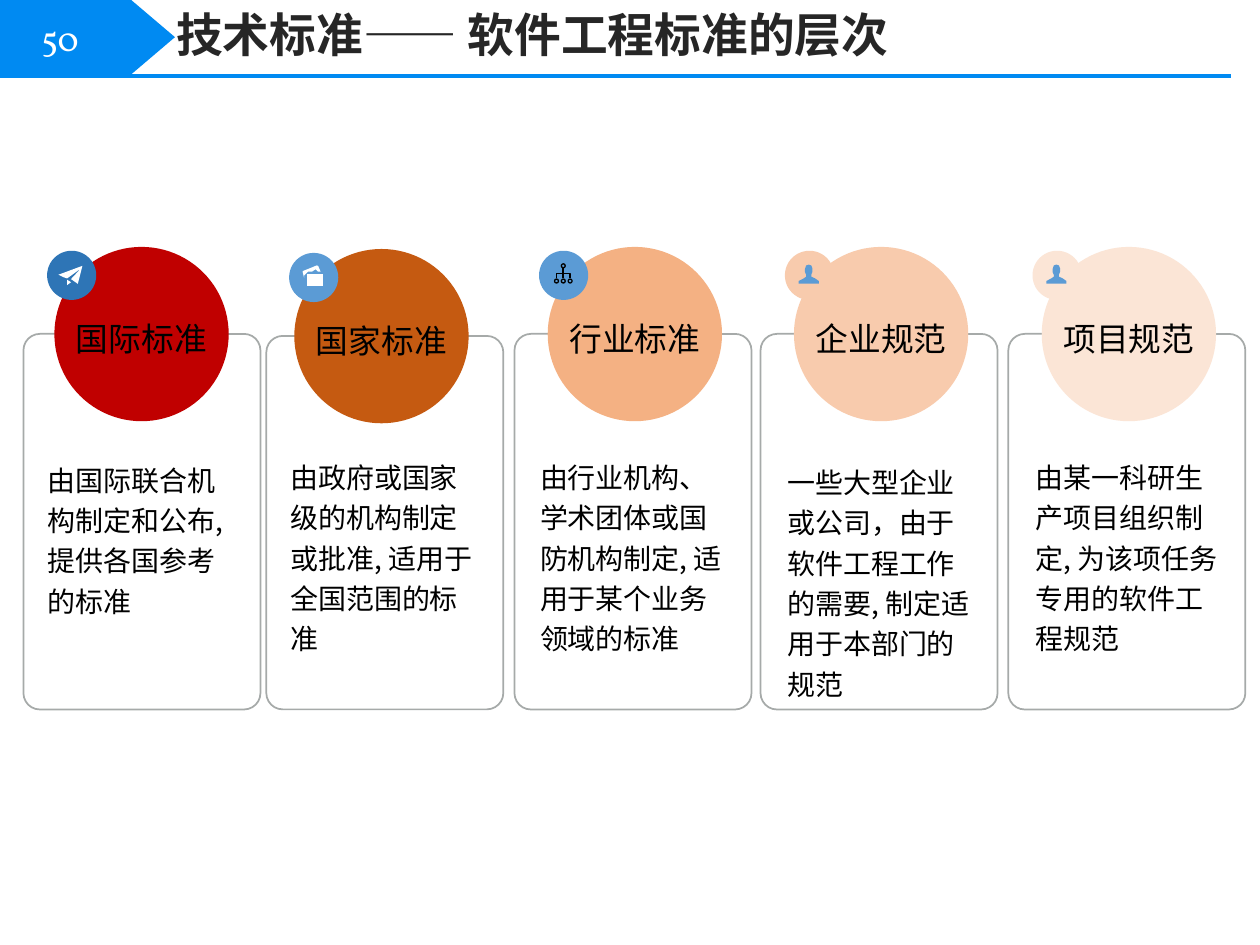
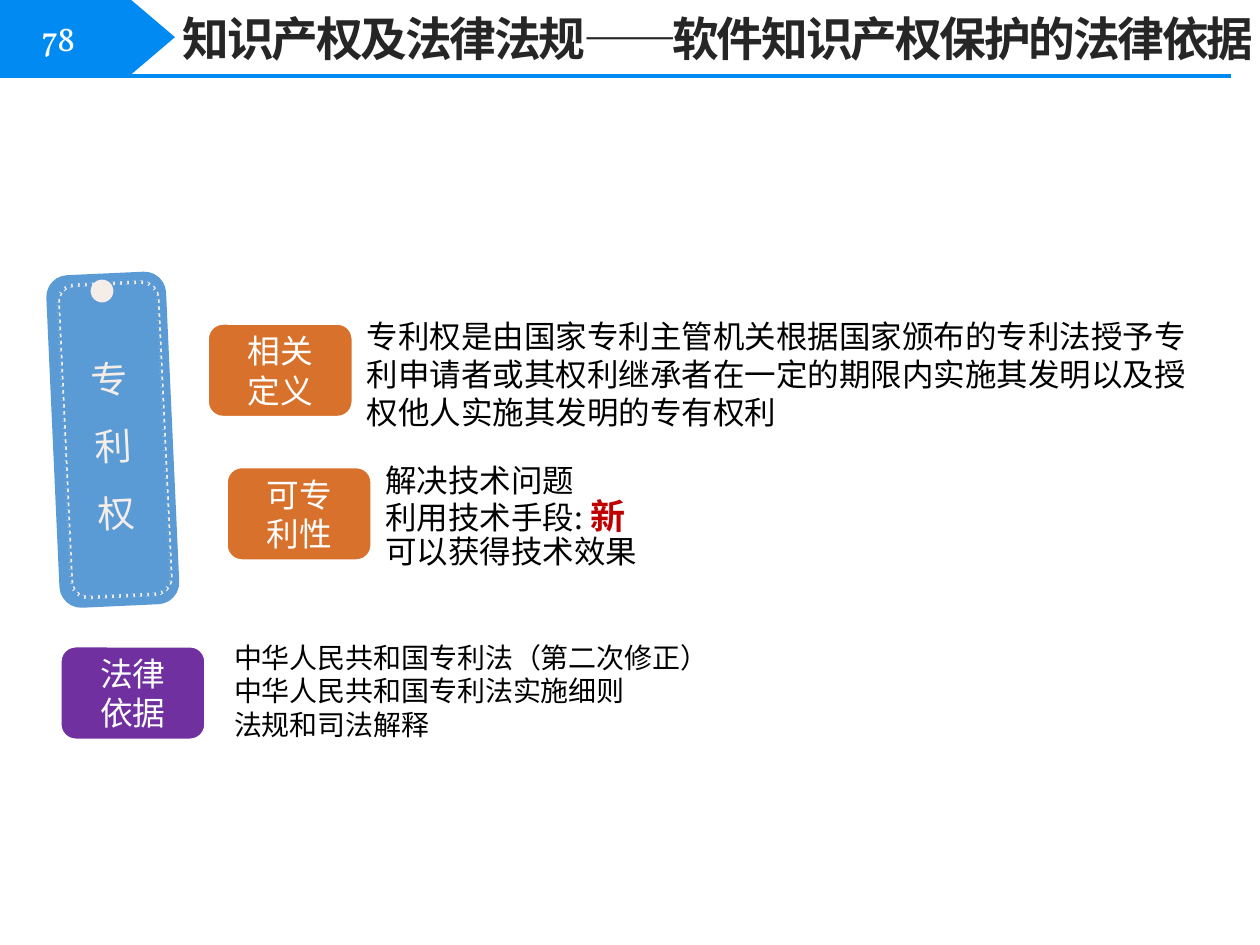
"""Builds two slides: levels of software standards, and the legal basis of patents."""
from dataclasses import dataclass

from lxml import etree
from pptx import Presentation
from pptx.dml.color import RGBColor
from pptx.enum.dml import MSO_LINE
from pptx.enum.shapes import MSO_CONNECTOR, MSO_SHAPE
from pptx.enum.text import MSO_ANCHOR, PP_ALIGN
from pptx.oxml.ns import qn
from pptx.util import Pt

ROUND, OVAL, PENTAGON = MSO_SHAPE.ROUNDED_RECTANGLE, MSO_SHAPE.OVAL, MSO_SHAPE.PENTAGON
STRAIGHT, DOTTED = MSO_CONNECTOR.STRAIGHT, MSO_LINE.ROUND_DOT
TOP, MIDDLE = MSO_ANCHOR.TOP, MSO_ANCHOR.MIDDLE
LEFT, CENTER = PP_ALIGN.LEFT, PP_ALIGN.CENTER


@dataclass(frozen=True)
class Theme:
    band: str = "008AF2"
    title: str = "262626"
    black: str = "000000"
    white: str = "FFFFFF"
    border: str = "A6AAA9"
    blue: str = "5B9BD5"
    deep_blue: str = "2E75B6"
    red: str = "C00000"
    rust: str = "C55A11"
    orange: str = "F4B183"
    peach: str = "F8CBAD"
    blush: str = "FBE5D6"
    cream: str = "F5EDE8"
    pill: str = "D7712B"
    purple: str = "7030A0"
    font: str = "Noto Sans CJK SC"
    pill_font: str = "Calibri"
    number_font: str = "Vollkorn"
    title_size: float = 26.7
    tag_size: float = 21.3
    number_size: float = 20
    accent_size: float = 20
    text_size: float = 18
    label_size: float = 18.7
    small_size: float = 16


T = Theme()
WIDTH, HEIGHT = 720, 540

LEVELS_TITLE = dict(number="50", text="技术标准—— 软件工程标准的层次", x=93.6, y=0, spacing=0)
LAW_TITLE = dict(number="78", text="知识产权及法律法规——软件知识产权保护的法律依据",
                 x=97.2, y=2.2, spacing=-130)

ICONS = {
    "plane": dict(color=T.white, polygons=[
        [(6.5, 13.7), (9.4, 15.1), (11.5, 15.8), (19.4, 10.1), (13.7, 16.2), (17.6, 18.9),
         (20.2, 8.6)],
        [(11.5, 16.6), (13.7, 18), (11.5, 19.6)]]),
    "folder": dict(color=T.white, polygons=[
        [(18, 10.8), (16.6, 7.4), (15.8, 7.2), (7.9, 10.4), (7.7, 10.8), (8.6, 14.4),
         (8.6, 13), (10.8, 10.8), (13, 10.8), (15.1, 9.4), (16.6, 10.8)],
        [(10.1, 12.2), (19.4, 12.2), (19.4, 18.7), (10.1, 18.7)]]),
    "tree": dict(color=T.black,
                 paths=[[(13.9, 10), (13.9, 15.8)],
                        [(10, 15.8), (10, 13), (17.8, 13), (17.8, 15.8)]],
                 rings=[(13.9, 8.6), (10, 17.3), (13.9, 17.3), (17.8, 17.3)]),
    "person": dict(color=T.blue, polygons=[
        [(7.9, 18.7), (7.9, 17.3), (10.8, 15.8), (12.2, 14.8), (12.2, 13.7), (11.5, 12.2),
         (11.5, 10.4), (12.2, 8.4), (13.7, 7.9), (15.1, 8.4), (15.8, 10.1), (15.8, 12),
         (15.1, 13.7), (15.1, 14.8), (17.3, 15.8), (19.4, 17.3), (19.4, 18.7)]]),
}

LEVELS = [
    dict(name="国际标准", font="Arial", color=T.red, badge=T.deep_blue, icon="plane", drop=0,
         card_x=13.4, circle_x=31.1, badge_x=26.9, text_x=27.4, text_h=99.4,
         text="由国际联合机构制定和公布,提供各国参考的标准"),
    dict(name="国家标准", font="Arial", color=T.rust, badge=T.blue, icon="folder", drop=1.2,
         card_x=152.2, circle_x=168.2, badge_x=165.2, text_x=166, text_h=119.5,
         text="由政府或国家级的机构制定或批准, 适用于全国范围的标准"),
    dict(name="行业标准", font="Arial", color=T.orange, badge=T.blue, icon="tree", drop=0,
         card_x=294, circle_x=313, badge_x=308, text_x=308.6, text_h=119.5,
         text="由行业机构、学术团体或国防机构制定, 适用于某个业务领域的标准"),
    dict(name="企业规范", font="Times New Roman", color=T.peach, badge=T.peach, icon="person",
         drop=0, card_x=434.6, circle_x=453.7, badge_x=448.5, text_x=450, text_h=148.3,
         text="一些大型企业或公司，由于软件工程工作的需要, 制定适用于本部门的规范"),
    dict(name="项目规范", font="Times New Roman", color=T.blush, badge=T.blush, icon="person",
         drop=0, card_x=576.2, circle_x=595.3, badge_x=590, text_x=591.8, text_h=119.5,
         text="由某一科研生产项目组织制定, 为该项任务专用的软件工程规范"),
]
CARD_TOP, CARD_BOTTOM, CARD_W = 190.8, 405.4, 135.4
CIRCLE_TOP, CIRCLE = 141.1, 99.6
BADGE_TOP, BADGE = 143.3, 28.1
BLURB_TOP, BLURB_W = 257.2, 106
RING = 2.2

TAG = "专\n利\n权"
PATENT_ROWS = [
    dict(label="相关\n定义", color=T.pill, x=118.4, y=184.6, size=T.text_size, spacing=None,
         box=(202.4, 177.8, 484, 72.7),
         text="专利权是由国家专利主管机关根据国家颁布的专利法授予专利申请者"
              "或其权利继承者在一定的期限内实施其发明以及授权他人实施其发明的专有权利"),
    dict(label="可专\n利性", color=T.pill, x=129.2, y=266.6, size=T.text_size, spacing=0.9,
         box=(213.1, 262.1, 352.8, 68.4), accent=(1, "新"),
         text="解决技术问题\n利用技术手段: \n可以获得技术效果"),
    dict(label="法律\n依据", color=T.purple, x=34.2, y=369, size=T.small_size, spacing=None,
         box=(126.7, 362.2, 590, 65.5),
         text="中华人民共和国专利法（第二次修正）\n中华人民共和国专利法实施细则\n法规和司法解释"),
]
PILL_W, PILL_H = 83.5, 54


def rgb(color):
    return RGBColor.from_string(color)


def style_run(r, size, color, font=T.font, bold=False, spacing=0):
    r.font.size, r.font.bold, r.font.name = Pt(size), bold, font
    r.font.color.rgb = rgb(color)
    rPr = r._r.get_or_add_rPr()
    etree.SubElement(rPr, qn("a:ea")).set("typeface", T.font)
    if spacing:
        rPr.set("spc", str(spacing))


def write(sp, text, size, color, font=T.font, align=LEFT, anchor=TOP, line_spacing=None,
          margins=(7.2, 3.6, 7.2, 3.6), wrap=True, bold=False, spacing=0):
    tf = sp.text_frame
    tf.text = text
    tf.word_wrap, tf.vertical_anchor = wrap, anchor
    tf.margin_left, tf.margin_top, tf.margin_right, tf.margin_bottom = map(Pt, margins)
    for p in tf.paragraphs:
        p.alignment = align
        if line_spacing:
            p.line_spacing = line_spacing
        for r in p.runs:
            style_run(r, size, color, font, bold, spacing)
    return tf


def add_text(slide, box, text, size, color, **options):
    return write(slide.shapes.add_textbox(*map(Pt, box)), text, size, color, **options)


def paint(sp, fill=None, line=None, width=1):
    sp.shadow.inherit = False
    if fill:
        sp.fill.solid()
        sp.fill.fore_color.rgb = rgb(fill)
    else:
        sp.fill.background()
    if line:
        sp.line.color.rgb = rgb(line)
        sp.line.width = Pt(width)
    else:
        sp.line.fill.background()


def add_shape(slide, kind, box, fill=None, line=None, width=1, adj=None, rotation=0):
    sp = slide.shapes.add_shape(kind, *map(Pt, box))
    paint(sp, fill, line, width)
    if adj is not None:
        sp.adjustments[0] = adj
    sp.rotation = rotation
    return sp


def add_outline(slide, points, x, y, close):
    (start_x, start_y), *rest = [(Pt(x + dx), Pt(y + dy)) for dx, dy in points]
    builder = slide.shapes.build_freeform(start_x, start_y)
    builder.add_line_segments(rest, close=close)
    return builder.convert_to_shape()


def add_icon(slide, x, y, color, polygons=(), paths=(), rings=()):
    for points in polygons:
        paint(add_outline(slide, points, x, y, True), color)
    for points in paths:
        paint(add_outline(slide, points, x, y, False), line=color)
    for cx, cy in rings:
        box = (x + cx - RING / 2, y + cy - RING / 2, RING, RING)
        add_shape(slide, OVAL, box, line=color, width=0.75)


def add_slide(prs, number, text, x, y, spacing):
    slide = prs.slides.add_slide(prs.slide_layouts[6])
    rule = slide.shapes.add_connector(STRAIGHT, 0, Pt(43.2), Pt(703.4), Pt(43.2))
    rule.line.color.rgb = rgb(T.band)
    rule.line.width = Pt(2.25)
    etree.SubElement(rule._element.spPr, qn("a:effectLst"))
    add_shape(slide, PENTAGON, (0, 0, 100, 42.5), T.band, adj=0.588)
    add_text(slide, (16.6, 5, 67, 33.1), number, T.number_size, T.white,
             font=T.number_font, anchor=MIDDLE)
    add_text(slide, (x, y, WIDTH - x, 39.6), text, T.title_size, T.title, bold=True,
             spacing=spacing, margins=(7.2, 3.6, 0, 3.6))
    return slide


def add_level(slide, level):
    drop = level["drop"]
    top = CARD_TOP + drop
    add_shape(slide, ROUND, (level["card_x"], top, CARD_W, CARD_BOTTOM - top),
              line=T.border, adj=0.069)
    circle = add_shape(slide, OVAL, (level["circle_x"], CIRCLE_TOP + drop, CIRCLE, CIRCLE),
                       level["color"])
    write(circle, level["name"], T.label_size, T.black, font=level["font"], align=CENTER,
          anchor=MIDDLE, line_spacing=1.2, margins=(1.5,) * 4, wrap=False)
    x, y = level["badge_x"], BADGE_TOP + drop
    add_shape(slide, OVAL, (x, y, BADGE, BADGE), level["badge"])
    add_icon(slide, x, y, **ICONS[level["icon"]])
    add_text(slide, (level["text_x"], BLURB_TOP, BLURB_W, level["text_h"]), level["text"],
             T.small_size, T.black, anchor=MIDDLE, line_spacing=1.2, margins=(0,) * 4)


def add_stitch_shadow(sp):
    effects = sp._element.spPr.find(qn("a:effectLst"))
    shadow = etree.SubElement(effects, qn("a:outerShdw"), dist=str(Pt(1)), dir="0")
    etree.SubElement(shadow, qn("a:srgbClr"), val=T.cream)


def add_tag(slide):
    add_shape(slide, ROUND, (31.7, 157.7, 65.5, 187.2), T.blue, T.blue, 3, rotation=357.4)
    stitch = add_shape(slide, ROUND, (36, 162, 56.9, 178.6), line=T.blue, width=2,
                       rotation=357.3)
    stitch.line.dash_style = DOTTED
    add_stitch_shadow(stitch)
    add_shape(slide, OVAL, (51.8, 159.8, 13, 13), T.cream)
    sp = slide.shapes.add_textbox(*map(Pt, (36.7, 187.9, 55.4, 121.7)))
    sp.rotation = 357
    write(sp, TAG, T.tag_size, T.cream, align=CENTER, line_spacing=1.5,
          margins=(5, 2.9, 5, 2.9))


def add_patent_row(slide, row):
    pill = add_shape(slide, ROUND, (row["x"], row["y"], PILL_W, PILL_H), row["color"],
                     T.white, 2)
    write(pill, row["label"], T.label_size, T.white, font=T.pill_font, align=CENTER,
          anchor=MIDDLE)
    tf = add_text(slide, row["box"], row["text"], row["size"], T.black,
                  line_spacing=row["spacing"])
    if "accent" in row:
        index, word = row["accent"]
        r = tf.paragraphs[index].add_run()
        r.text = word
        style_run(r, T.accent_size, T.red, bold=True)


def main():
    prs = Presentation()
    prs.slide_width, prs.slide_height = Pt(WIDTH), Pt(HEIGHT)
    slide = add_slide(prs, **LEVELS_TITLE)
    for level in LEVELS:
        add_level(slide, level)
    slide = add_slide(prs, **LAW_TITLE)
    add_tag(slide)
    for row in PATENT_ROWS:
        add_patent_row(slide, row)
    prs.save("out.pptx")


if __name__ == "__main__":
    main()
